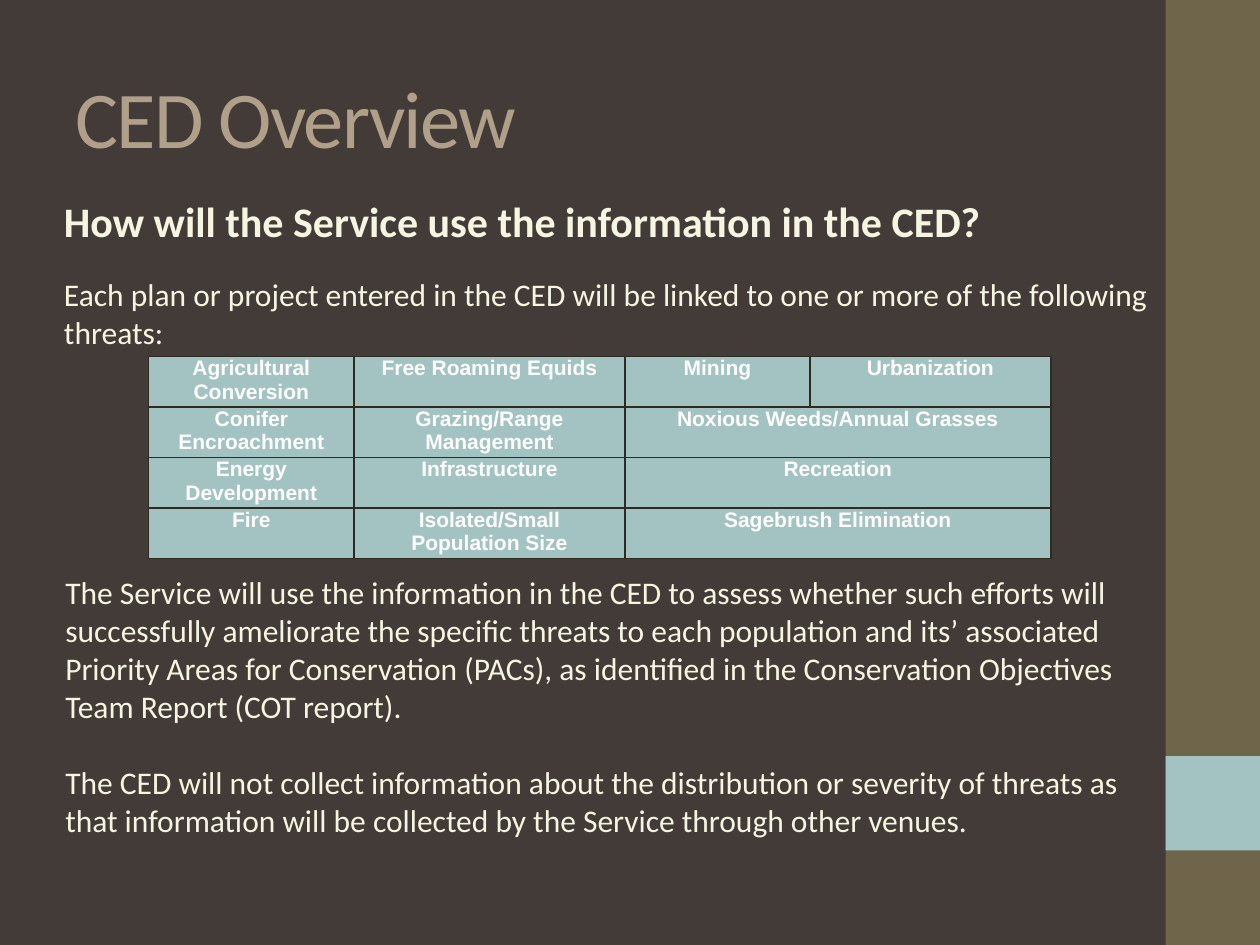
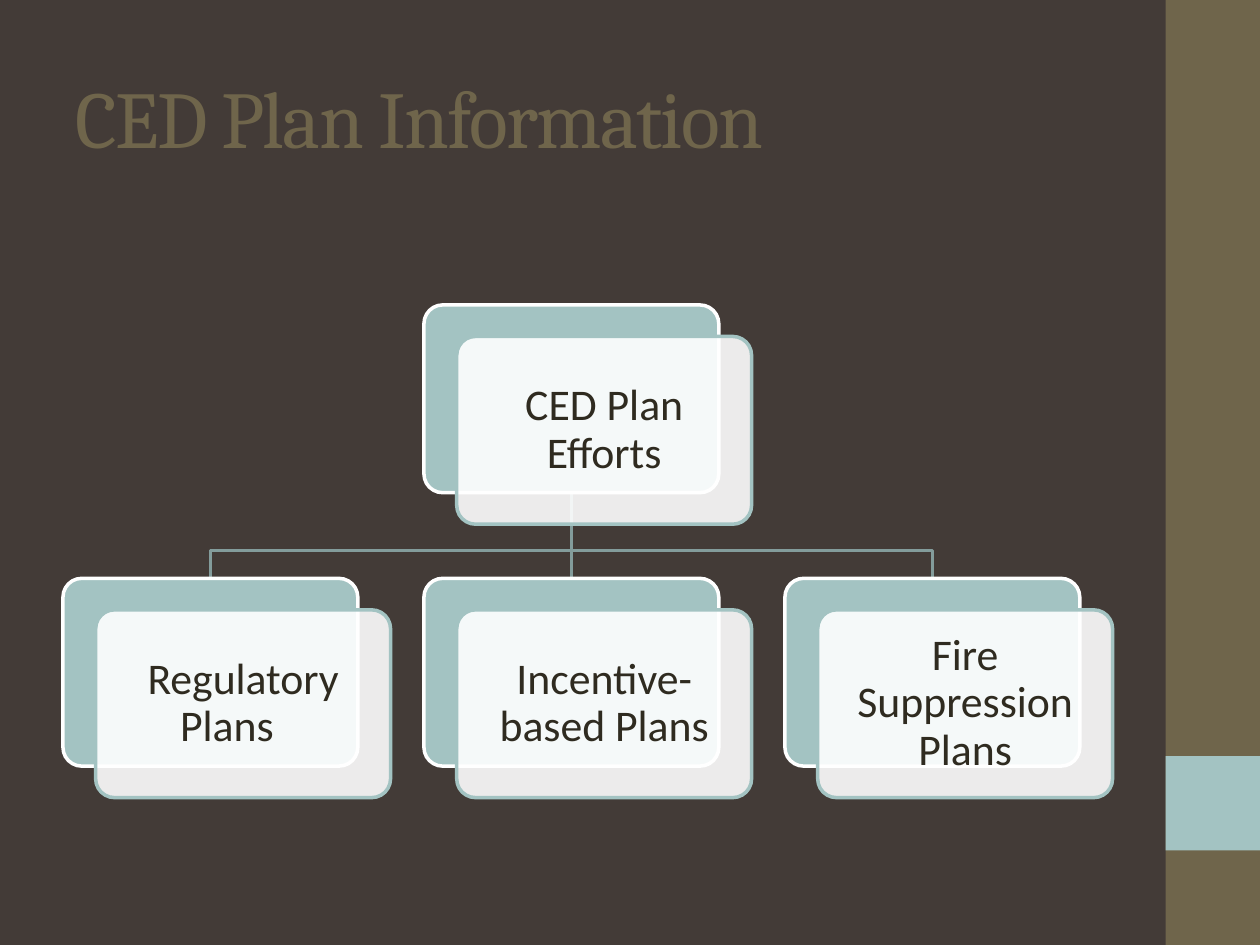
import lxml.etree
import pptx
import pptx.dml.color
import pptx.enum.shapes
import pptx.enum.text
import pptx.oxml.ns
import pptx.util

COLOURS = {
    "ground": "433B37", "olive": "6F654B", "teal": "A3C3C2", "tan": "B1A089",
    "cream": "F6F5E2", "ink": "2F2B20", "branch": "839C9B", "white": "FFFFFF",
}
COLUMNS, ROWS = 100, 75  # square grid cells over a 10 x 7.5 inch slide
TITLE_ONLY = 5
SHAPES = pptx.enum.shapes.MSO_SHAPE
ALIGN = pptx.enum.text.PP_ALIGN
ANCHOR = pptx.enum.text.MSO_ANCHOR
AUTOSIZE = pptx.enum.text.MSO_AUTO_SIZE


def rgb(name):
    return pptx.dml.color.RGBColor.from_string(COLOURS[name])


def add_xml(parent, tag, **attributes):
    return lxml.etree.SubElement(parent, pptx.oxml.ns.qn(tag), attributes)


class Deck:
    def __init__(self):
        self.prs = pptx.Presentation()
        self.prs.slide_width = pptx.util.Inches(10)
        self.prs.slide_height = pptx.util.Inches(7.5)
        ground = self.prs.slide_master.background.fill
        ground.solid()
        ground.fore_color.rgb = rgb("ground")
        self.slide = None

    def grid(self, *cells):
        """Turn grid cells into lengths."""
        step = self.prs.slide_width / COLUMNS
        return [pptx.util.Emu(round(cell * step)) for cell in cells]

    def new_slide(self, heading, font, colour):
        self.slide = self.prs.slides.add_slide(self.prs.slide_layouts[TITLE_ONLY])
        # Side band with its accent square
        self.card(SHAPES.RECTANGLE, (92.5, 0, 7.5, ROWS), "olive")
        self.card(SHAPES.RECTANGLE, (92.5, 60, 7.5, 7.5), "teal")
        # Title
        title = self.slide.shapes.title
        title.left, title.top, title.width, title.height = self.grid(5, 3, 83.3, 12.5)
        frame = title.text_frame
        frame.auto_size = AUTOSIZE.NONE
        frame.vertical_anchor = ANCHOR.MIDDLE
        frame.paragraphs[0].alignment = ALIGN.LEFT
        run = self.add_words(frame.paragraphs[0], heading, 46, colour, font)
        run.font._element.set("spc", "-100")

    def add_words(self, paragraph, words, size, colour, font="Calibri", bold=False):
        run = paragraph.add_run()
        run.text = words
        run.font.size = pptx.util.Pt(size)
        run.font.name = font
        run.font.bold = bold
        run.font.color.rgb = rgb(colour)
        return run

    def prose(self, box, paragraphs):
        """Each paragraph is (words, size, bold, points of space before)."""
        frame = self.slide.shapes.add_textbox(*self.grid(*box)).text_frame
        frame.word_wrap = True
        frame.auto_size = AUTOSIZE.SHAPE_TO_FIT_TEXT
        for index, (words, size, bold, gap) in enumerate(paragraphs):
            paragraph = frame.add_paragraph() if index else frame.paragraphs[0]
            paragraph.space_before = pptx.util.Pt(gap)
            self.add_words(paragraph, words, size, "cream", bold=bold)

    def card(self, kind, box, fill, line=None, opacity=None):
        card = self.slide.shapes.add_shape(kind, *self.grid(*box))
        card.shadow.inherit = False
        card.fill.solid()
        card.fill.fore_color.rgb = rgb(fill)
        if opacity:
            tint = card._element.spPr.find(".//" + pptx.oxml.ns.qn("a:srgbClr"))
            add_xml(tint, "a:alpha", val=str(opacity * 1000))
        if line:
            self.stroke(card.line, line)
        else:
            card.line.fill.background()
        if kind == SHAPES.ROUNDED_RECTANGLE:
            card.adjustments[0] = 0.1
        return card

    def stroke(self, line, colour):
        line.color.rgb = rgb(colour)
        line.width = pptx.util.Pt(2)

    def plan_card(self, left, top, width, height, label):
        kind = SHAPES.ROUNDED_RECTANGLE
        self.card(kind, (left, top, width, height), "teal", "white")
        front = self.card(kind, (left + 2.6, top + 2.5, width, height),
                          "white", "teal", opacity=90)
        frame = front.text_frame
        frame.word_wrap = True
        frame.vertical_anchor = ANCHOR.MIDDLE
        (frame.margin_left, frame.margin_top,
         frame.margin_right, frame.margin_bottom) = self.grid(1, 1, 1, 1)
        paragraph = frame.paragraphs[0]
        paragraph.alignment = ALIGN.CENTER
        paragraph.line_spacing = 0.9
        self.add_words(paragraph, label, 25, "ink")

    def branch(self, start, bend, end):
        """Run down to the bend row, across, then down to the end."""
        (x1, y1), (x2, y2) = self.grid(*start), self.grid(*end)
        if x1 == x2:
            straight = pptx.enum.shapes.MSO_CONNECTOR.STRAIGHT
            branch = self.slide.shapes.add_connector(straight, x1, y1, x2, y2)
            self.stroke(branch.line, "branch")
            add_xml(branch._element.spPr, "a:effectLst")
        else:
            middle = self.grid(bend)[0]
            outline = self.slide.shapes.build_freeform(x1, y1)
            outline.add_line_segments([(x1, middle), (x2, middle), (x2, y2)], close=False)
            branch = outline.convert_to_shape()
            branch.shadow.inherit = False
            branch.fill.background()
            self.stroke(branch.line, "branch")

    def threat_table(self, left, top, widths, row_height, rows):
        shape = self.slide.shapes.add_table(
            len(rows), len(widths),
            *self.grid(left, top, sum(widths), row_height * len(rows)))
        table = shape.table
        table.first_row = table.horz_banding = False
        for column, width in zip(table.columns, self.grid(*widths)):
            column.width = width
        for r, threats in enumerate(rows):
            table.rows[r].height = self.grid(row_height)[0]
            for c in range(len(widths)):
                self.style_cell(table.cell(r, c))
            for c, threat in enumerate(threats):
                paragraph = table.cell(r, c).text_frame.paragraphs[0]
                paragraph.alignment = ALIGN.CENTER
                self.add_words(paragraph, threat, 12, "white", "Arial", bold=True)
            # A short row lets its last threat fill the remaining columns
            if len(threats) < len(widths):
                table.cell(r, len(threats) - 1).merge(table.cell(r, len(widths) - 1))

    def style_cell(self, cell):
        cell.margin_left = cell.margin_right = self.grid(0.7)[0]
        cell.margin_top = cell.margin_bottom = 0
        properties = cell._tc.get_or_add_tcPr()
        for side in "LRTB":
            border = add_xml(properties, "a:ln" + side, w=str(pptx.util.Pt(1)))
            add_xml(add_xml(border, "a:solidFill"), "a:srgbClr", val=COLOURS["ink"])
        cell.fill.solid()
        cell.fill.fore_color.rgb = rgb("teal")


def overview(deck):
    deck.new_slide("CED Overview", "Calibri", "tan")
    deck.prose((4.1, 15, 95, 13.5), [
        ("How will the Service use the information in the CED?", 24, True, 0),
        ("Each plan or project entered in the CED will be linked to one or more "
         "of the following threats:", 18, False, 17),
    ])
    deck.threat_table(11.8, 28.3, (16.3, 21.5, 14.7, 19.1), 4, [
        ("Agricultural Conversion", "Free Roaming Equids", "Mining", "Urbanization"),
        ("Conifer Encroachment", "Grazing/Range Management",
         "Noxious Weeds/Annual Grasses"),
        ("Energy Development", "Infrastructure", "Recreation"),
        ("Fire", "Isolated/Small Population Size", "Sagebrush Elimination"),
    ])
    deck.prose((4.2, 45, 86.7, 22.2), [
        ("The Service will use the information in the CED to assess whether such "
         "efforts will successfully ameliorate the specific threats to each "
         "population and its’ associated Priority Areas for Conservation (PACs), "
         "as identified in the Conservation Objectives Team Report (COT report).",
         18, False, 0),
        ("The CED will not collect information about the distribution or severity "
         "of threats as that information will be collected by the Service through "
         "other venues.", 18, False, 22),
    ])


def plan_information(deck):
    deck.new_slide("CED Plan Information", "Cambria", "olive")
    plans = ["Regulatory Plans\t", "Incentive-based Plans", "Fire Suppression Plans"]
    width, height = 23.4, 14.9
    efforts_top, plans_top, bend = 24.2, 45.9, 43.7
    lefts = [5 + 28.65 * index for index in range(len(plans))]
    efforts_left = lefts[1]

    # Branches lie behind the cards
    trunk = (efforts_left + width / 2, efforts_top + height)
    for left in lefts:
        deck.branch(trunk, bend, (left + width / 2, plans_top))

    # Efforts above, kinds of plan below
    deck.plan_card(efforts_left, efforts_top, width, height, "CED Plan Efforts")
    for left, plan in zip(lefts, plans):
        deck.plan_card(left, plans_top, width, height, plan)


def main():
    deck = Deck()
    overview(deck)
    plan_information(deck)
    deck.prs.save("out.pptx")


if __name__ == "__main__":
    main()
